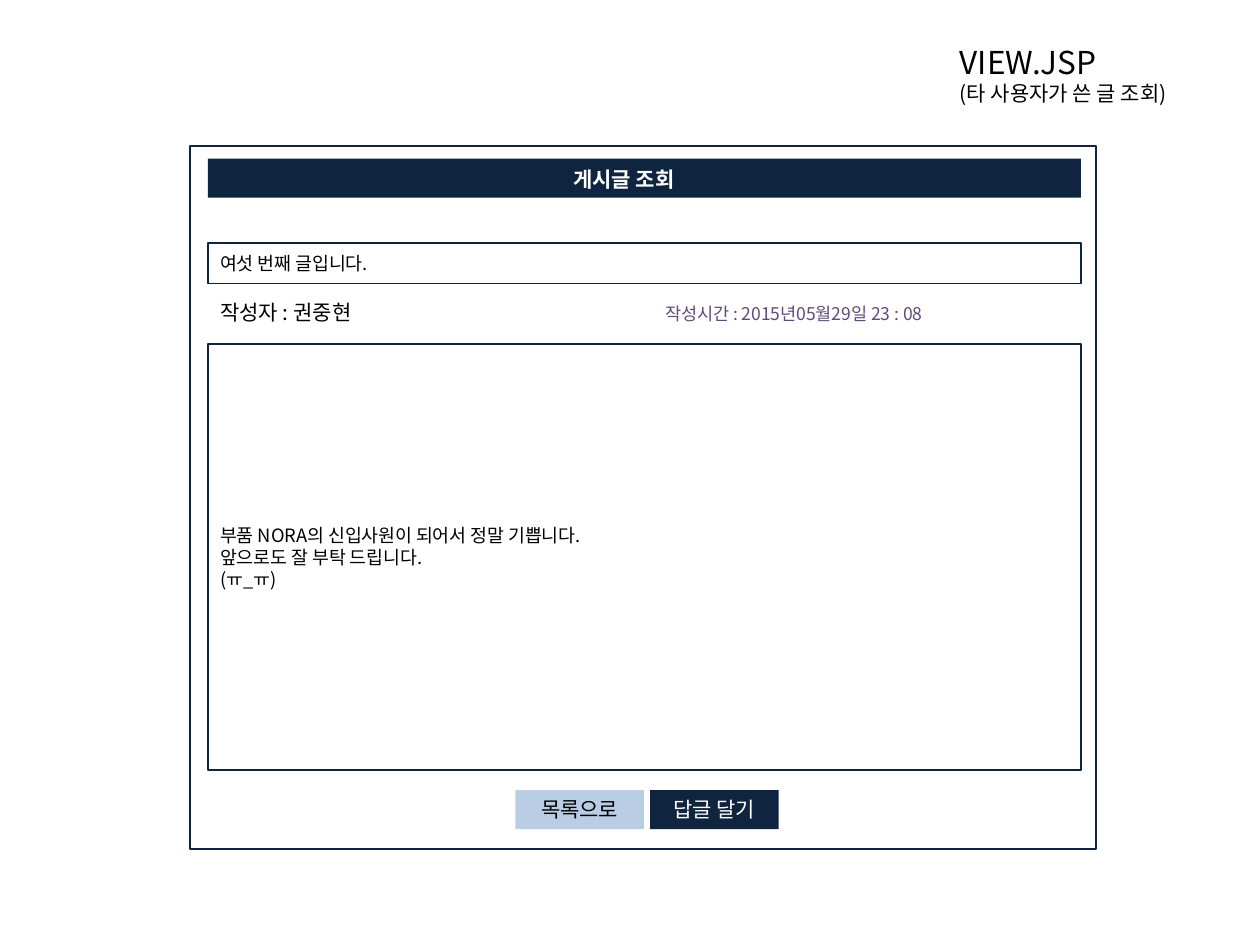
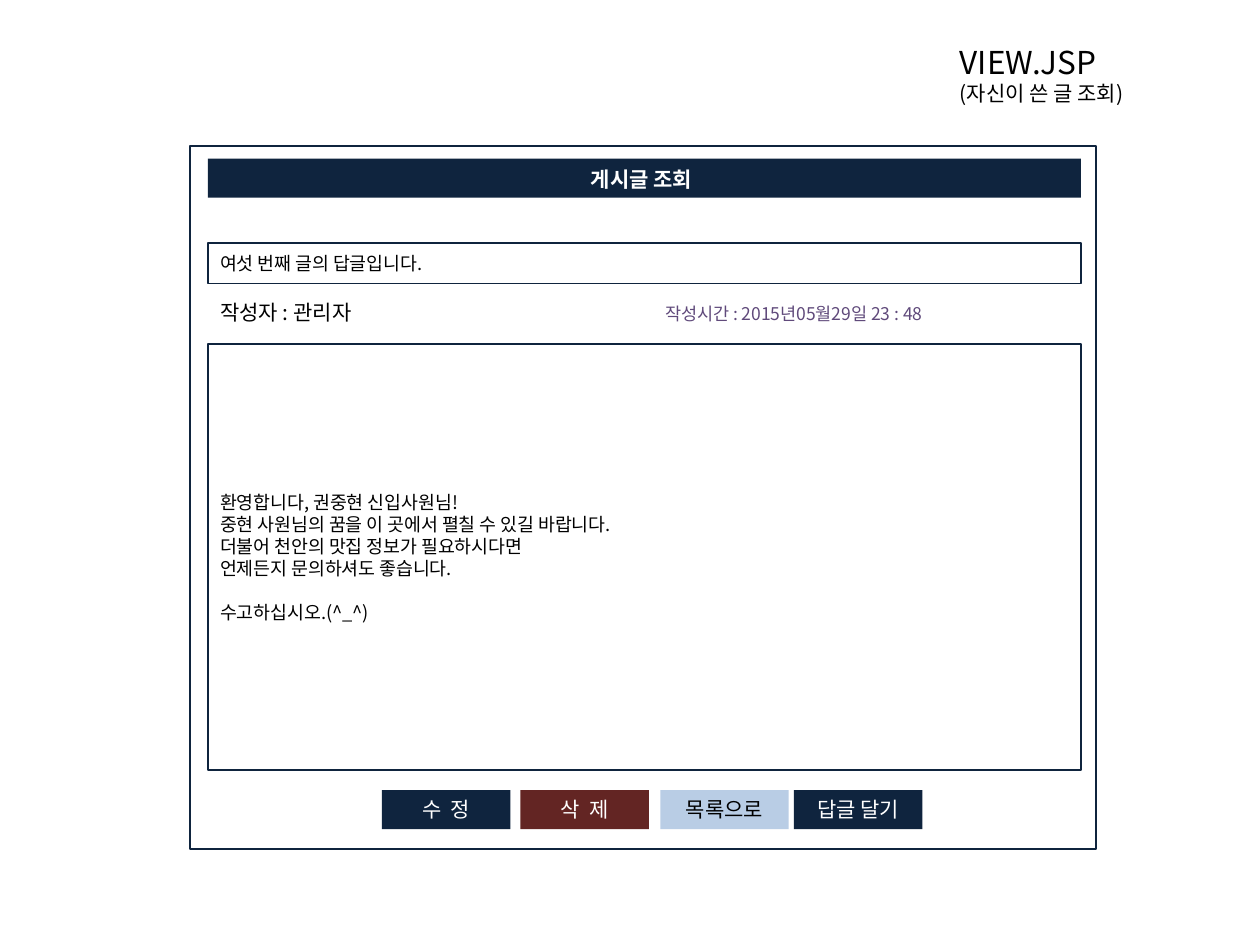
from dataclasses import dataclass

from lxml import etree
from pptx import Presentation
from pptx.dml.color import RGBColor
from pptx.enum.shapes import MSO_SHAPE
from pptx.enum.text import MSO_ANCHOR, PP_ALIGN
from pptx.oxml.ns import qn
from pptx.util import Pt

RECT = MSO_SHAPE.RECTANGLE
TOP, MIDDLE = MSO_ANCHOR.TOP, MSO_ANCHOR.MIDDLE
LEFT, CENTER = PP_ALIGN.LEFT, PP_ALIGN.CENTER
EMU_PER_PX = 9144  # 100 px to the inch


def px(n):
    return n * EMU_PER_PX


@dataclass(frozen=True)
class Theme:
    font: str = "Noto Sans CJK KR"
    navy: str = "0F243E"
    maroon: str = "632523"
    sky: str = "B9CDE5"
    purple: str = "604A7B"
    black: str = "000000"
    white: str = "FFFFFF"
    page: float = 18
    label: float = 12
    body: float = 10.5
    small: float = 10
    leading: float = 1.2


T = Theme()


@dataclass(frozen=True)
class Run:
    text: str
    size: float = T.label
    color: str = T.black
    bold: bool = False
    tracking: float = 0


class Deck:
    def __init__(self, width, height):
        self.prs = Presentation()
        self.prs.slide_width, self.prs.slide_height = px(width), px(height)
        self.s = None

    def new_slide(self):
        self.s = self.prs.slides.add_slide(self.prs.slide_layouts[6])

    def add_paragraphs(self, sp, paragraphs, anchor, align=LEFT):
        """Fill a shape with paragraphs, each a list of runs."""
        tf = sp.text_frame
        tf.word_wrap = True
        tf.vertical_anchor = anchor
        for i, runs in enumerate(paragraphs):
            p = tf.add_paragraph() if i else tf.paragraphs[0]
            p.alignment = align
            p.line_spacing = Pt(T.leading * max(run.size for run in runs))
            for run in runs:
                self.add_run(p, run)

    def add_run(self, p, run):
        r = p.add_run()
        r.text = run.text
        font = r.font
        font.name, font.size, font.bold = T.font, Pt(run.size), run.bold
        font.color.rgb = RGBColor.from_string(run.color)
        r_pr = r._r.get_or_add_rPr()
        etree.SubElement(r_pr, qn("a:ea"), typeface=T.font)
        if run.tracking:
            r_pr.set("spc", str(round(run.tracking * 100)))

    def rect(self, x, y, w, h, fill=None, line=None):
        sp = self.s.shapes.add_shape(RECT, px(x), px(y), px(w), px(h))
        sp.shadow.inherit = False
        if fill:
            sp.fill.solid()
            sp.fill.fore_color.rgb = RGBColor.from_string(fill)
        else:
            sp.fill.background()
        if line:
            sp.line.color.rgb = RGBColor.from_string(line)
            sp.line.width = Pt(1)
        else:
            sp.line.fill.background()
        return sp

    def text(self, x, y, w, h, paragraphs, anchor=TOP):
        sp = self.s.shapes.add_textbox(px(x), px(y), px(w), px(h))
        self.add_paragraphs(sp, paragraphs, anchor)
        return sp

    def field(self, y, h, lines):
        sp = self.rect(FIELD_X, y, FIELD_W, h, line=T.navy)
        self.add_paragraphs(sp, [[Run(line, T.body)] for line in lines], MIDDLE)
        return sp

    def button(self, x, label, fill, color=T.white, tracking=0):
        sp = self.rect(x, 627, 102, 31, fill=fill)
        runs = [Run(label, color=color, tracking=tracking)]
        self.add_paragraphs(sp, [runs], MIDDLE, CENTER)

    def byline(self, author, time):
        """Author at the left, writing time at a tab stop."""
        sp = self.text(FIELD_X, 232, FIELD_W, 32, [[
            Run(f"작성자 : {author}"),
            Run(f"\t작성시간 : 2015년05월29일 {time}", T.small, T.purple),
        ]], MIDDLE)
        p_pr = sp.text_frame.paragraphs[0]._p.get_or_add_pPr()
        tabs = etree.SubElement(p_pr, qn("a:tabLst"))
        etree.SubElement(tabs, qn("a:tab"), pos=str(px(353)), algn="l")


FIELD_X, FIELD_W = 165, 693

EDIT = ("수 정", T.navy, T.white, 1.35)
DELETE = ("삭 제", T.maroon, T.white, 1.35)
TO_LIST = ("목록으로", T.sky, T.black)
REPLY = ("답글 달기", T.navy)

POSTS = [
    dict(
        note="(타 사용자가 쓴 글 조회)",
        heading_x=445,
        title="여섯 번째 글입니다.",
        author="권중현",
        time="23 : 08",
        message=["부품 NORA의 신입사원이 되어서 정말 기쁩니다.",
                 "앞으로도 잘 부탁 드립니다.",
                 "(ㅠ_ㅠ)"],
        closing_gap=0,
        buttons={409: TO_LIST, 516: REPLY},
    ),
    dict(
        note="(자신이 쓴 글 조회)",
        heading_x=459,
        title="여섯 번째 글의 답글입니다.",
        author="관리자",
        time="23 : 48",
        message=["환영합니다, 권중현 신입사원님!",
                 "중현 사원님의 꿈을 이 곳에서 펼칠 수 있길 바랍니다.",
                 "더불어 천안의 맛집 정보가 필요하시다면",
                 "언제든지 문의하셔도 좋습니다.",
                 "수고하십시오.(^_^)"],
        closing_gap=T.leading * T.body,
        buttons={303: EDIT, 413: DELETE, 524: TO_LIST, 630: REPLY},
    ),
]


def post_slide(deck, post):
    deck.new_slide()
    deck.rect(151, 116, 719, 558, line=T.navy)
    deck.rect(FIELD_X, 126, FIELD_W, 31, fill=T.navy)
    deck.text(post["heading_x"], 127, 152, 31,
              [[Run("게시글 조회", color=T.white, bold=True)]])
    deck.byline(post["author"], post["time"])
    deck.field(193, 32, [post["title"]])
    message = deck.field(273, 338, post["message"])
    if post["closing_gap"]:
        message.text_frame.paragraphs[-1].space_before = Pt(post["closing_gap"])
    deck.text(752, 29, 213, 94, [[Run("VIEW.JSP", T.page)], [Run(post["note"])]])
    for x, button in post["buttons"].items():
        deck.button(x, *button)


def main():
    deck = Deck(1000, 750)
    for post in POSTS:
        post_slide(deck, post)
    deck.prs.save("out.pptx")


if __name__ == "__main__":
    main()
